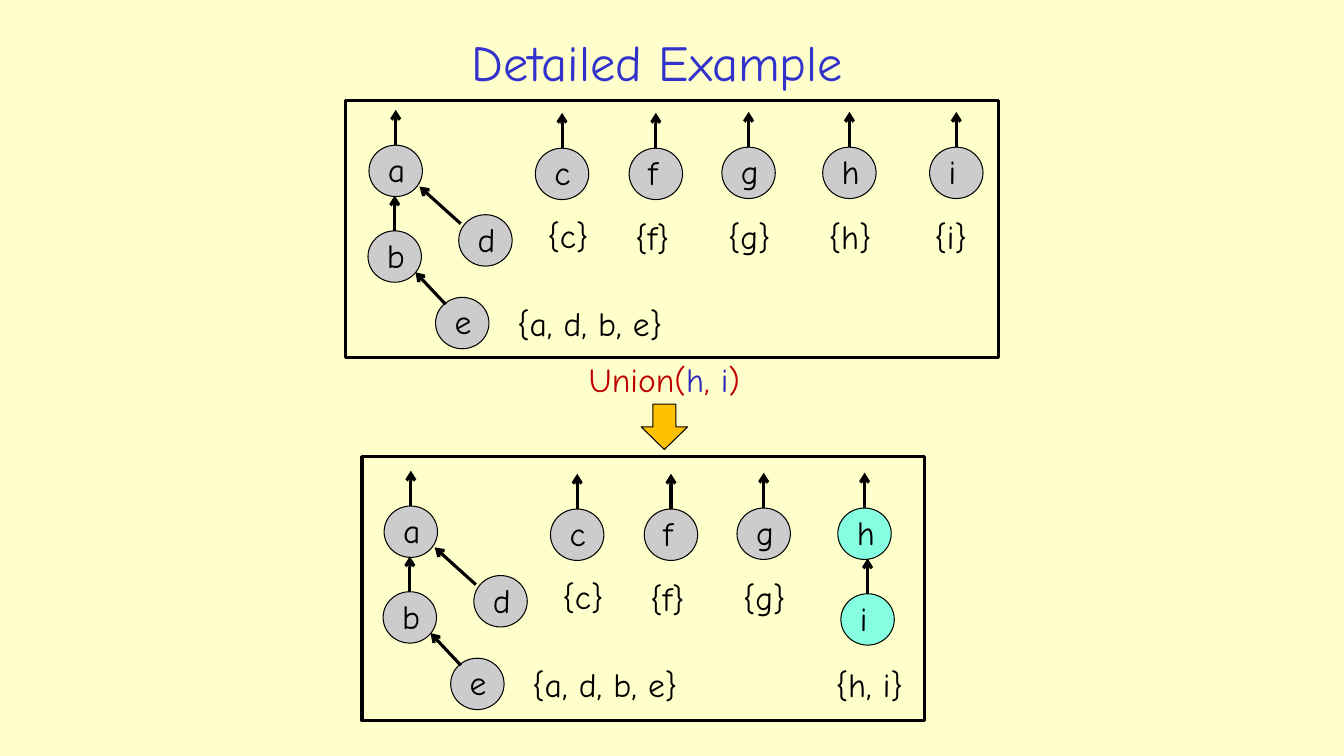
from typing import NamedTuple

from lxml.etree import SubElement
from pptx import Presentation
from pptx.dml.color import RGBColor
from pptx.enum.shapes import MSO_CONNECTOR, MSO_SHAPE
from pptx.enum.text import MSO_ANCHOR, MSO_AUTO_SIZE, PP_ALIGN
from pptx.oxml.ns import qn
from pptx.shapes.autoshape import Shape
from pptx.shapes.shapetree import GroupShapes, SlideShapes
from pptx.util import Emu, Pt

Shapes = SlideShapes | GroupShapes

FONT = "Comic Neue"
CREAM = RGBColor(0xFF, 0xFF, 0xCC)
BLACK = RGBColor(0x00, 0x00, 0x00)
GRAY = RGBColor(0xCC, 0xCC, 0xCC)
AQUA = RGBColor(0x85, 0xFF, 0xE0)
AMBER = RGBColor(0xFF, 0xC0, 0x00)
RED = RGBColor(0xC0, 0x00, 0x00)
BLUE = RGBColor(0x2D, 0x2D, 0xB9)
TITLE_BLUE = RGBColor(0x33, 0x33, 0xCC)

NODE_W, NODE_H = 53, 51
TEXT_H = 50


class Link(NamedTuple):
    x1: int
    y1: int
    x2: int
    y2: int


UP = Link(27, 0, 27, -35)
D_TO_A = Link(2, 9, -39, -28)
E_TO_B = Link(10, 7, -20, -25)


class Node(NamedTuple):
    name: str
    x: int
    y: int
    text_w: int
    link: Link = UP
    fill: RGBColor = GRAY


class SetLabel(NamedTuple):
    text: str
    x: int
    y: int
    w: int


class Box(NamedTuple):
    x: int
    y: int
    w: int
    h: int


SHARED_NODES = [
    Node("a", 366, 144, 37),
    Node("b", 365, 229, 40),
    Node("c", 531, 147, 38),
    Node("d", 455, 213, 40, D_TO_A),
    Node("e", 432, 295, 39, E_TO_B),
    Node("f", 624, 147, 37),
    Node("g", 716, 146, 38),
]
SHARED_SETS = [
    SetLabel("{a, d, b, e}", 503, 296, 178),
    SetLabel("{c}", 533, 208, 62),
    SetLabel("{f}", 620, 210, 62),
    SetLabel("{g}", 712, 209, 63),
]
NODES_BEFORE = [Node("h", 816, 146, 40), Node("i", 922, 146, 30)]
SETS_BEFORE = [SetLabel("{h}", 812, 209, 64), SetLabel("{i}", 917, 209, 54)]
NODES_AFTER = [
    Node("h", 816, 146, 40, fill=AQUA),
    Node("i", 819, 231, 30, fill=AQUA),
]
SETS_AFTER = [SetLabel("{h, i}", 804, 296, 93)]


def px(n: int) -> Emu:
    return Emu(n * 9144)


def add_text(shapes: Shapes, box: Box, parts: list[tuple[str, RGBColor]]) -> None:
    tf = shapes.add_textbox(*map(px, box)).text_frame
    tf.word_wrap = False
    tf.auto_size = MSO_AUTO_SIZE.SHAPE_TO_FIT_TEXT
    for text, color in parts:
        r = tf.paragraphs[0].add_run()
        r.text = text
        r.font.name = FONT
        r.font.size = Pt(24)
        r.font.color.rgb = color


def add_outlined(shapes: Shapes, kind: MSO_SHAPE, box: Box,
                 fill: RGBColor | None, line_pt: float) -> Shape:
    sp = shapes.add_shape(kind, *map(px, box))
    sp.shadow.inherit = False
    if fill is None:
        sp.fill.background()
    else:
        sp.fill.solid()
        sp.fill.fore_color.rgb = fill
    sp.line.color.rgb = BLACK
    sp.line.width = Pt(line_pt)
    return sp


def add_node(shapes: Shapes, node: Node, dx: int, dy: int) -> None:
    x, y = node.x + dx, node.y + dy
    sp = add_outlined(shapes, MSO_SHAPE.OVAL, Box(x, y, NODE_W, NODE_H),
                      node.fill, 0.75)
    add_text(shapes, Box(x + 9, y - 1, node.text_w, TEXT_H), [(node.name, BLACK)])
    link = node.link
    c = shapes.add_connector(MSO_CONNECTOR.STRAIGHT, px(x + link.x1), px(y + link.y1),
                             px(x + link.x2), px(y + link.y2))
    if link == UP:
        c.begin_connect(sp, 0)
        c.end_x = c.begin_x
    c.line.color.rgb = BLACK
    c.line.width = Pt(2.25)
    SubElement(c.line._get_or_add_ln(), qn("a:tailEnd"), type="arrow")
    SubElement(c._element.spPr, qn("a:effectLst"))


def add_forest(shapes: Shapes, nodes: list[Node], sets: list[SetLabel],
               frame: Box, dx: int = 0, dy: int = 0) -> None:
    for node in nodes:
        add_node(shapes, node, dx, dy)
    for label in sets:
        add_text(shapes, Box(label.x + dx, label.y + dy, label.w, TEXT_H),
                 [(label.text, BLACK)])
    add_outlined(shapes, MSO_SHAPE.RECTANGLE, frame, None, 2.25)


def main() -> None:
    prs = Presentation()
    prs.slide_width, prs.slide_height = px(1333), px(750)
    s = prs.slides.add_slide(prs.slide_layouts[5])
    s.background.fill.solid()
    s.background.fill.fore_color.rgb = CREAM

    title = s.shapes.title
    title.left, title.top, title.width, title.height = map(px, Box(204, 26, 896, 69))
    tf = title.text_frame
    tf.text = "Detailed Example"
    tf.vertical_anchor = MSO_ANCHOR.MIDDLE
    p = tf.paragraphs[0]
    p.alignment = PP_ALIGN.CENTER
    font = p.runs[0].font
    font.name, font.size = FONT, Pt(36)
    font.color.rgb = TITLE_BLUE

    add_text(s.shapes, Box(574, 351, 180, TEXT_H),
             [("Union(", RED), ("h", BLUE), (", ", RED), ("i", BLUE), (")", RED)])
    add_outlined(s.shapes, MSO_SHAPE.DOWN_ARROW, Box(636, 401, 46, 45), AMBER, 0.75)

    after = s.shapes.add_group_shape()
    add_forest(after.shapes, SHARED_NODES + NODES_AFTER, SHARED_SETS + SETS_AFTER,
               Box(359, 453, 558, 262), 15, 358)
    add_forest(s.shapes, SHARED_NODES + NODES_BEFORE, SHARED_SETS + SETS_BEFORE,
               Box(343, 100, 647, 255))
    prs.save("out.pptx")


if __name__ == "__main__":
    main()
